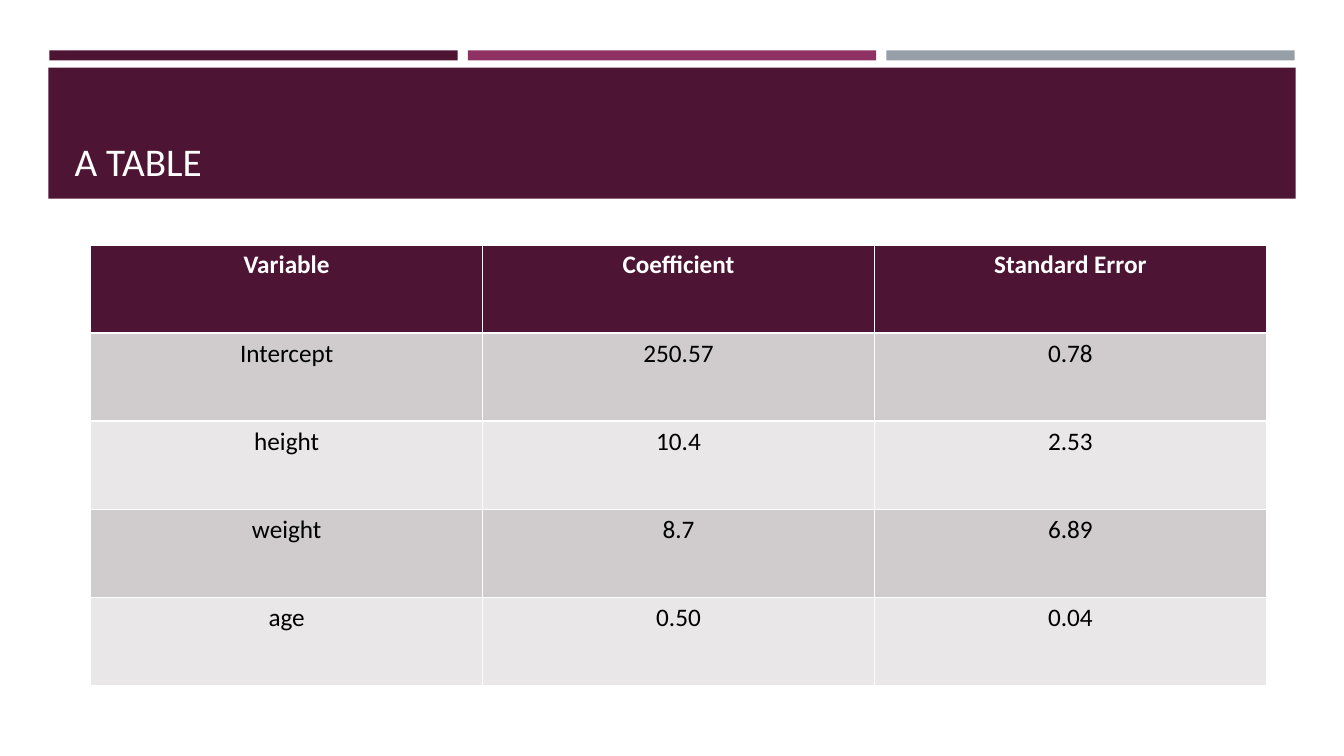
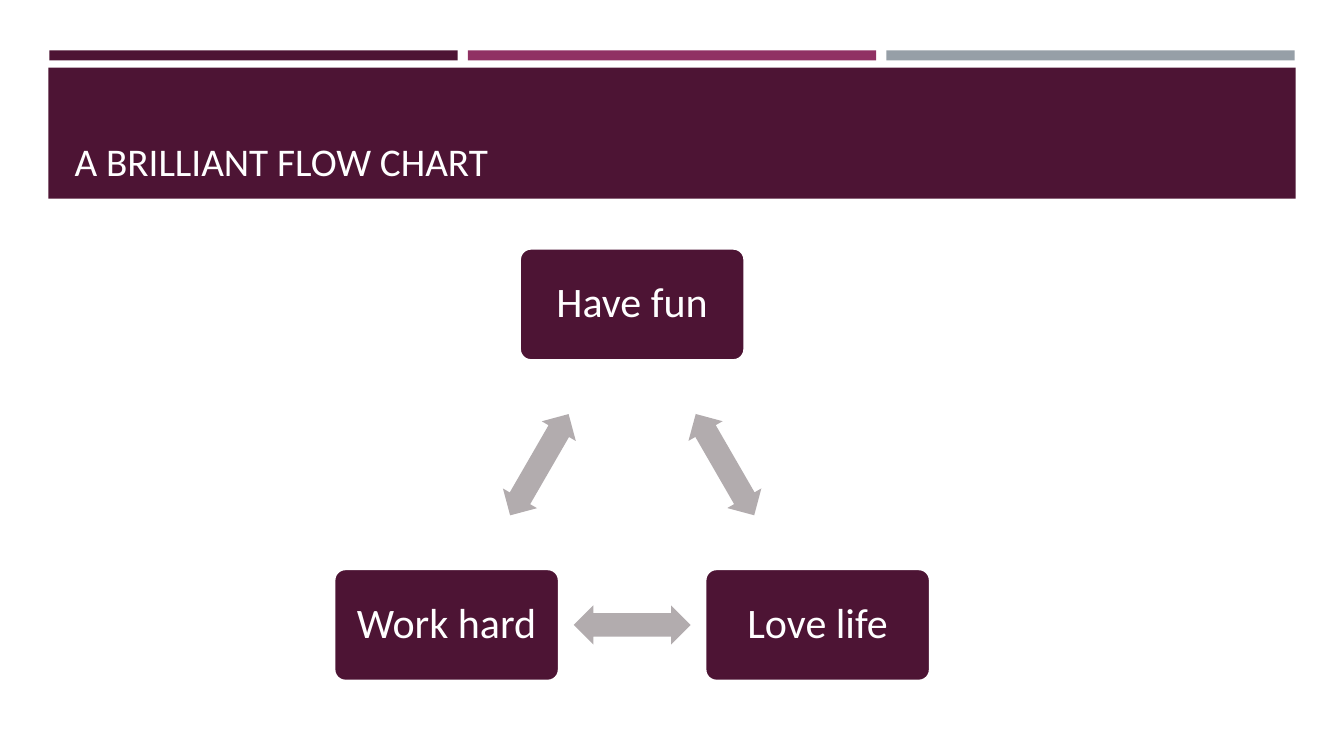
import pptx
import pptx.util
import pptx.dml.color
import pptx.enum.shapes
import pptx.enum.text

In = pptx.util.Inches
SHAPE = pptx.enum.shapes.MSO_SHAPE
ANCHOR = pptx.enum.text.MSO_ANCHOR
ALIGN = pptx.enum.text.PP_ALIGN

COLORS = {
    "plum": "4D1434", "berry": "903163", "steel": "969FA7",
    "arrow": "B2ACAE", "band_dark": "D0CCCE", "band_light": "E9E7E8",
    "white": "FFFFFF", "black": "000000",
}
FONT = "Calibri"
SLIDE_W, SLIDE_H = 13.33, 7.5

TABLE_TITLE = "A TABLE"
TABLE_ROWS = [
    ("Variable", "Coefficient", "Standard Error"),
    ("Intercept", "250.57", "0.78"),
    ("height", "10.4", "2.53"),
    ("weight", "8.7", "6.89"),
    ("age", "0.50", "0.04"),
]
TABLE_BOX = (0.9, 2.43, 11.66, 4.37)

FLOW_TITLE = "A BRILLIANT FLOW CHART"
FLOW_STEPS = [("Have fun", 0, 0), ("Love life", 1, 1), ("Work hard", -1, 1)]
FLOW_TOP = (6.27, 3.02)
FLOW_STEP = (1.84, 3.18)
STEP_SIZE = (2.23, 1.11)
ARROW_SIZE = (1.16, 0.39)

STRIPES = ("plum", "berry", "steel")
STRIPE_LEFT, STRIPE_W, STRIPE_GAP = 0.49, 4.05, 0.1
TITLE_BAND = (0.48, 0.67, 12.37, 1.3)
TITLE_BOX = (0.64, 0.77, 12.06, 1.11)


def rgb(name):
    return pptx.dml.color.RGBColor.from_string(COLORS[name])


def write(tf, text, size=18, color="white", bold=False, align=ALIGN.CENTER,
          anchor=None, spacing=None):
    p = tf.paragraphs[0]
    p.alignment = align
    if spacing:
        p.line_spacing = spacing
    if anchor is not None:
        tf.vertical_anchor = anchor
    r = p.add_run()
    r.text = text
    r.font.name = FONT
    r.font.size = pptx.util.Pt(size)
    r.font.bold = bold
    r.font.color.rgb = rgb(color)


def add_block(s, kind, box, fill, line=None):
    sp = s.shapes.add_shape(kind, *map(In, box))
    sp.shadow.inherit = False
    sp.fill.solid()
    sp.fill.fore_color.rgb = rgb(fill)
    if line:
        sp.line.color.rgb = rgb(line)
        sp.line.width = pptx.util.Pt(1.75)
    else:
        sp.line.fill.background()
    return sp


def centered(center, size):
    return (center[0] - size[0] / 2, center[1] - size[1] / 2, *size)


def style_layout(layout, s):
    for ph in list(layout.placeholders):
        if ph.placeholder_format.type == pptx.enum.shapes.PP_PLACEHOLDER.TITLE:
            ph.left, ph.top, ph.width, ph.height = map(In, TITLE_BOX)
        else:
            ph.element.getparent().remove(ph.element)
    bands = [add_block(s, SHAPE.RECTANGLE, TITLE_BAND, "plum")]
    for i, color in enumerate(STRIPES):
        left = STRIPE_LEFT + i * (STRIPE_W + STRIPE_GAP)
        bands.append(add_block(s, SHAPE.RECTANGLE, (left, 0.5, STRIPE_W, 0.1), color))
    for sp in bands:
        layout.shapes.element.insert(2, sp.element)


def add_title(s, text):
    tf = s.shapes.title.text_frame
    tf.word_wrap = True
    write(tf, text, size=28, align=ALIGN.LEFT, anchor=ANCHOR.BOTTOM)


def build_table(s):
    add_title(s, TABLE_TITLE)
    table = s.shapes.add_table(len(TABLE_ROWS), len(TABLE_ROWS[0]),
                               *map(In, TABLE_BOX)).table
    for i, row in enumerate(TABLE_ROWS):
        header = i == 0
        fill = "plum" if header else ("band_light", "band_dark")[i % 2]
        for j, text in enumerate(row):
            cell = table.cell(i, j)
            cell.fill.solid()
            cell.fill.fore_color.rgb = rgb(fill)
            write(cell.text_frame, text, color="white" if header else "black",
                  bold=header)


def build_flow(s):
    add_title(s, FLOW_TITLE)
    centers = [(FLOW_TOP[0] + col * FLOW_STEP[0], FLOW_TOP[1] + row * FLOW_STEP[1])
               for _, col, row in FLOW_STEPS]
    for i, (text, _, _) in enumerate(FLOW_STEPS):
        box = add_block(s, SHAPE.ROUNDED_RECTANGLE, centered(centers[i], STEP_SIZE),
                        "plum", line="white")
        box.adjustments[0] = 0.1
        tf = box.text_frame
        tf.word_wrap = True
        tf.margin_left = tf.margin_right = In(0.15)
        write(tf, text, size=30, anchor=ANCHOR.MIDDLE, spacing=0.9)

        following = centers[(i + 1) % len(centers)]
        middle = [(a + b) / 2 for a, b in zip(centers[i], following)]
        arrow = add_block(s, SHAPE.LEFT_RIGHT_ARROW, centered(middle, ARROW_SIZE), "arrow")
        arrow.adjustments[0] = 0.6
        arrow.adjustments[1] = 0.5
        arrow.rotation = 60 + 120 * i


def main():
    prs = pptx.Presentation()
    prs.slide_width, prs.slide_height = In(SLIDE_W), In(SLIDE_H)
    layout = prs.slide_layouts.get_by_name("Title Only")
    for i, build in enumerate((build_table, build_flow)):
        s = prs.slides.add_slide(layout)
        if i == 0:
            style_layout(layout, s)
        build(s)
    prs.save("out.pptx")


if __name__ == "__main__":
    main()
